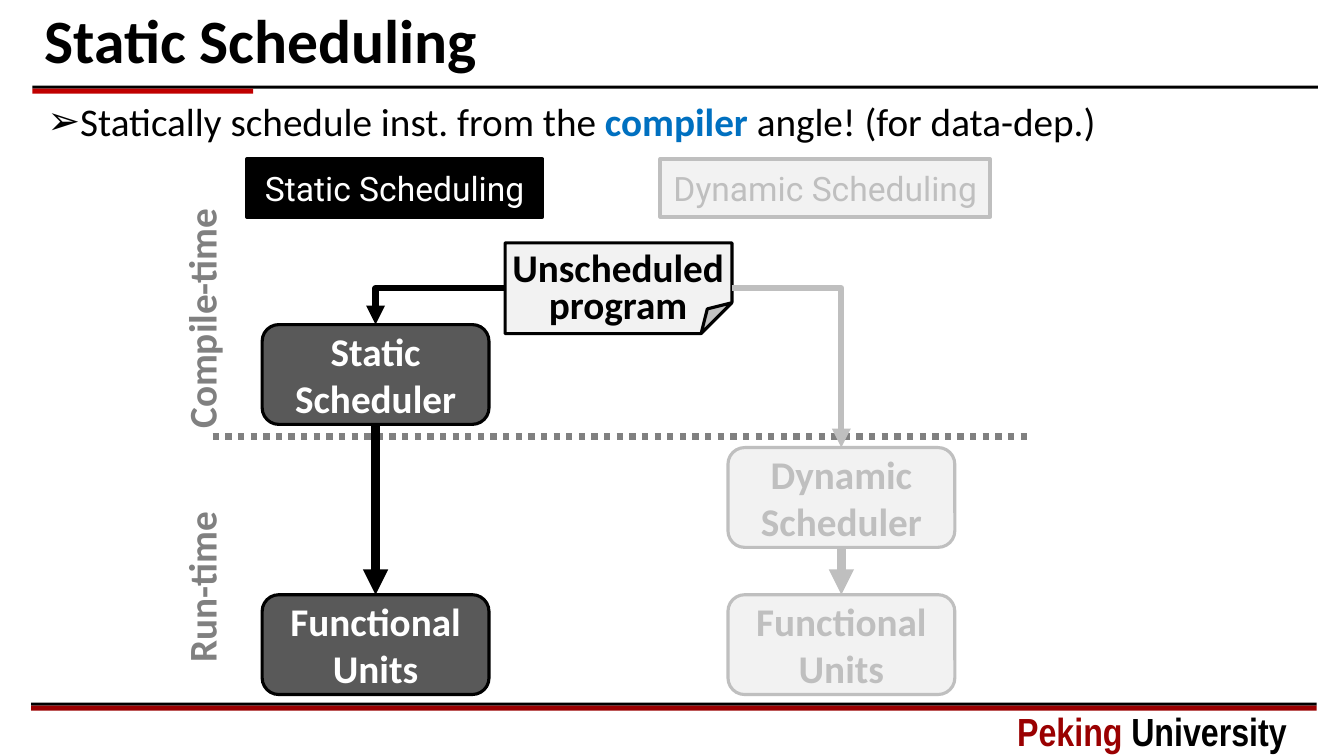
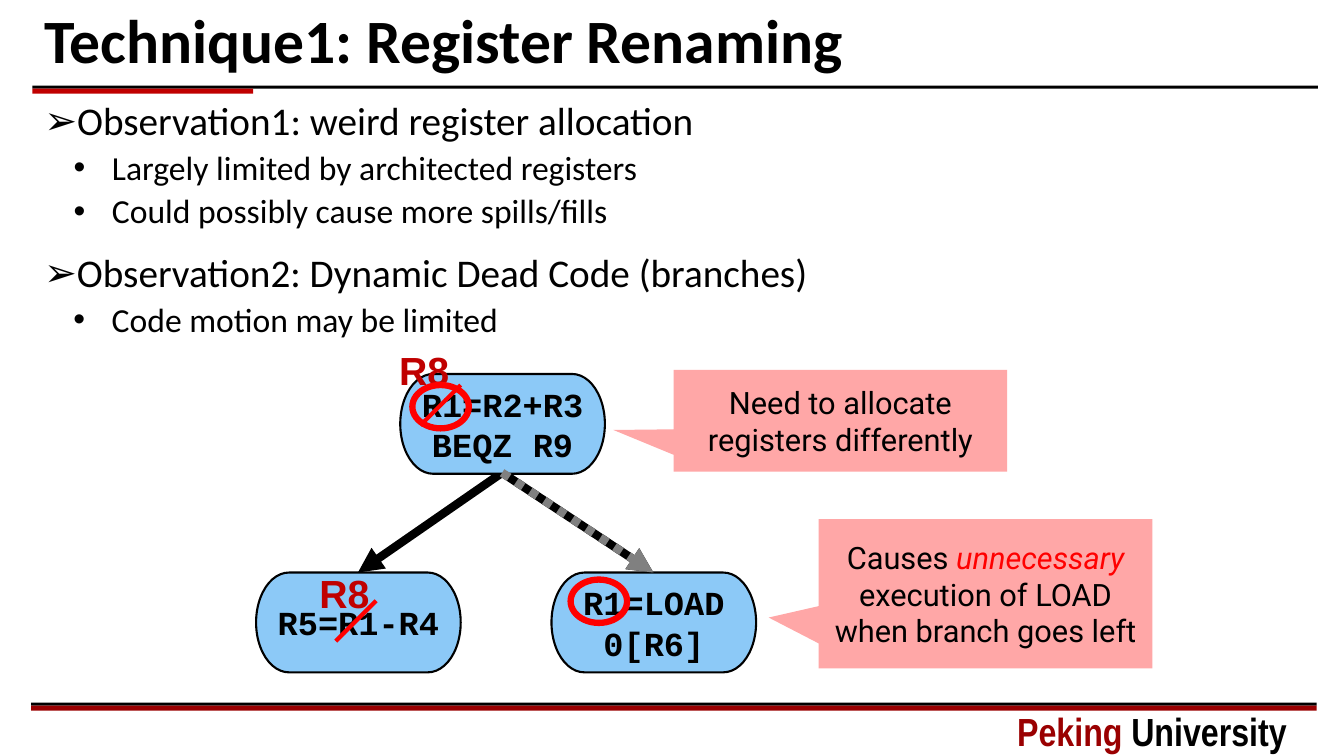
from dataclasses import dataclass, replace
from pptx import Presentation
from pptx.dml.color import RGBColor
from pptx.enum.dml import MSO_LINE
from pptx.enum.shapes import MSO_CONNECTOR, MSO_SHAPE
from pptx.enum.text import MSO_ANCHOR, MSO_AUTO_SIZE, PP_ALIGN
from pptx.oxml.ns import qn
from pptx.util import Inches, Pt
from lxml.etree import SubElement


@dataclass(frozen=True)
class Type:
    font: str
    size: int
    color: str
    bold: bool = False
    italic: bool = False


@dataclass(frozen=True)
class Look:
    fill: str
    line: str
    text: str


@dataclass(frozen=True)
class Theme:
    black: str = "000000"
    grey: str = "808080"
    red: str = "C00000"
    wine: str = "9A0001"
    alarm: str = "FF0000"
    blue: str = "0070C0"
    sky: str = "8CC9F7"
    pink: str = "FFA7A7"
    title: Type = Type("Calibri", 44, "000000", True)
    item: Type = Type("Calibri", 28, "000000")
    point: Type = Type("Calibri", 24, "000000")
    node: Type = Type("Calibri", 28, "000000", True)
    head: Type = Type("Roboto", 24, "FFFFFF")
    note: Type = Type("Roboto", 22, "000000")
    code: Type = Type("Courier New", 24, "000000", True)
    mark: Type = Type("Arial", 28, "C00000", True)
    brand: Type = Type("Arial Narrow", 28, "000000", True)
    on: Look = Look("595959", "000000", "FFFFFF")
    off: Look = Look("F2F2F2", "BFBFBF", "BFBFBF")
    solid: Look = Look("000000", "000000", "FFFFFF")


T = Theme()


def rgb(code):
    return RGBColor.from_string(code)


def inch(*nums):
    return [Inches(n) for n in nums]


def add_run(para, text, kind):
    run = para.add_run()
    run.text = text
    font = run.font
    font.name, font.size = kind.font, Pt(kind.size)
    font.bold, font.italic = kind.bold, kind.italic
    font.color.rgb = rgb(kind.color)


def write(frame, paras, align=PP_ALIGN.LEFT, space=1.0):
    """Each paragraph is a list of (text, type) runs."""
    for i, runs in enumerate(paras):
        para = frame.add_paragraph() if i else frame.paragraphs[0]
        para.alignment, para.line_spacing = align, space
        para.space_before = Pt(0)
        for text, kind in runs:
            add_run(para, text, kind)


def add_list(frame, items, hang, space=0.9):
    """Each item is (level, runs); hang is the indent of level 0."""
    frame.word_wrap = True
    frame.auto_size = MSO_AUTO_SIZE.NONE
    frame.vertical_anchor = MSO_ANCHOR.TOP
    write(frame, [runs for _, runs in items], space=space)
    for i, (para, (level, _)) in enumerate(zip(frame.paragraphs, items)):
        para.level = level
        sign, left, back = (("➢", hang, hang), ("•", 0.67, 0.38))[level]
        props = para._p.get_or_add_pPr()
        props.set("marL", str(Inches(left)))
        props.set("indent", str(-Inches(back)))
        SubElement(props, qn("a:buFont")).set("typeface", "Arial")
        SubElement(props, qn("a:buChar")).set("char", sign)
        if i:
            para.space_before = Pt(5 if level else 10)


def adjust(shape, values):
    """Write the guides directly, as some presets list none by default."""
    guides = shape._element.spPr.find(qn("a:prstGeom")).get_or_add_avLst()
    for old in list(guides):
        guides.remove(old)
    for i, value in enumerate(values, 1):
        guide = SubElement(guides, qn("a:gd"))
        guide.set("name", f"adj{i}" if len(values) > 1 else "adj")
        guide.set("fmla", f"val {round(value * 100000)}")


def add_box(slide, kind, box, fill=None, line=None, width=1.0, paras=(), adj=()):
    shape = slide.shapes.add_shape(kind, *inch(*box))
    shape.shadow.inherit = False
    if adj:
        adjust(shape, adj)
    if fill:
        shape.fill.solid()
        shape.fill.fore_color.rgb = rgb(fill)
    else:
        shape.fill.background()
    if line:
        shape.line.color.rgb = rgb(line)
        shape.line.width = Pt(width)
    else:
        shape.line.fill.background()
    if paras:
        shape.text_frame.word_wrap = True
        shape.text_frame.vertical_anchor = MSO_ANCHOR.MIDDLE
        write(shape.text_frame, paras, PP_ALIGN.CENTER)


def add_label(slide, box, paras, align=PP_ALIGN.LEFT, space=1.0, turn=0):
    label = slide.shapes.add_textbox(*inch(*box))
    label.rotation = turn
    label.text_frame.word_wrap = False
    label.text_frame.auto_size = MSO_AUTO_SIZE.SHAPE_TO_FIT_TEXT
    write(label.text_frame, paras, align, space)


def add_line(slide, start, end, color, width, head=False, dots=False, bent=False):
    kind = MSO_CONNECTOR.ELBOW if bent else MSO_CONNECTOR.STRAIGHT
    link = slide.shapes.add_connector(kind, *inch(*start, *end))
    link.line.color.rgb = rgb(color)
    link.line.width = Pt(width)
    if dots:
        link.line.dash_style = MSO_LINE.ROUND_DOT
    props = link._element.spPr
    if bent:
        props.find(qn("a:prstGeom")).set("prst", "bentConnector2")
    if head:
        SubElement(props.find(qn("a:ln")), qn("a:tailEnd")).set("type", "triangle")
    SubElement(props, qn("a:effectLst"))


def add_bands(slide):
    for x, y, w, h, color in (
        (0.32, 0.85, 12.75, 0.03, T.black),
        (0.32, 0.88, 2.19, 0.05, T.red),
        (0.31, 6.97, 12.75, 0.03, T.black),
        (0.31, 7, 12.75, 0.05, T.wine),
    ):
        add_box(slide, MSO_SHAPE.RECTANGLE, (x, y, w, h), color)
    name = [("Peking ", replace(T.brand, color=T.wine)), ("University", T.brand)]
    add_label(slide, (9.99, 6.97, 3.16, 0.57), [name])


def move(shape, box):
    shape.left, shape.top, shape.width, shape.height = inch(*box)


def new_slide(deck, title, box):
    """Add a slide with bands and title; return it and its body, moved to box."""
    slide = deck.slides.add_slide(deck.slide_layouts[1])
    add_bands(slide)
    head, body = slide.shapes.title, slide.placeholders[1]
    move(head, (0.34, 0.02, 12.69, 0.83))
    head.text_frame.word_wrap = True
    head.text_frame.auto_size = MSO_AUTO_SIZE.NONE
    head.text_frame.vertical_anchor = MSO_ANCHOR.MIDDLE
    write(head.text_frame, [[(title, T.title)]], space=0.9)
    move(body, box)
    return slide, body.text_frame


def add_lane(slide, box, source, words, look):
    """Scheduler at the top of box, units at its foot, fed from source."""
    x, y, w, h = box
    tall, mid = 0.99, x + w / 2
    kind = replace(T.node, color=look.text)
    foot = y + h - tall
    for top, lines in ((y, words), (foot, ["Functional Units"])):
        add_box(slide, MSO_SHAPE.ROUNDED_RECTANGLE, (x, top, w, tall), look.fill,
                look.line, 2.25, [[(line, kind)] for line in lines])
    add_line(slide, source, (mid, y), look.line, 4.5, head=True, bent=True)
    add_line(slide, (mid, y + tall), (mid, foot), look.line, 6, head=True)


def add_flow(slide, x, y):
    """Static and dynamic lanes, with the phases named at the left."""
    for dx, w, text, look in ((0.5, 2.93, "Static Scheduling", T.solid),
                              (4.6, 3.27, "Dynamic Scheduling", T.off)):
        add_box(slide, MSO_SHAPE.RECTANGLE, (x + dx, y, w, 0.57), look.fill, look.line,
                3, [[(text, replace(T.head, color=look.text))]])
    phase = replace(T.node, color=T.grey)
    for dx, dy, w, text in ((-1.16, 1.28, 2.41, "Compile-time"),
                            (-0.81, 3.95, 1.71, "Run-time")):
        add_label(slide, (x + dx, y + dy, w, 0.57), [[(text, phase)]], turn=270)
    add_line(slide, (x + 0.16, y + 2.75), (x + 8.24, y + 2.75), T.grey, 4.5, dots=True)
    left, top, wide = x + 3.06, y + 0.83, 2.25
    add_box(slide, MSO_SHAPE.FOLDED_CORNER, (left, top, wide, 0.9), T.off.fill,
            T.black, 2.25, adj=[0.34])
    add_label(slide, (left - 0.04, top + 0.04, 2.32, 0.86),
              [[("Unscheduled", T.node)], [("program", T.node)]], PP_ALIGN.CENTER, 0.8)
    for dx, dy, port, name, look in ((0.65, 1.64, left, "Static", T.on),
                                     (5.27, 2.86, left + wide, "Dynamic", T.off)):
        add_lane(slide, (x + dx, y + dy, wide, 5.31 - dy), (port, top + 0.45),
                 [name, "Scheduler"], look)


def add_block(slide, x, y, lines):
    add_box(slide, MSO_SHAPE.FLOWCHART_TERMINATOR, (x, y, 2.03, 0.99), T.sky, T.black,
            1.5, [[(line, T.code)] for line in lines])


def add_ring(slide, x, y):
    add_box(slide, MSO_SHAPE.OVAL, (x, y, 0.56, 0.43), None, T.alarm, 4.5)


def add_swap(slide, x, y, dx, dy):
    """Strike out a register at x, y and put the new name up and left by dx, dy."""
    add_line(slide, (x + 0.4, y), (x, y + 0.4), T.alarm, 3)
    add_label(slide, (x - dx, y - dy, 0.71, 0.57), [[("R8", T.mark)]])


def add_note(slide, box, tip, runs):
    add_box(slide, MSO_SHAPE.RECTANGULAR_CALLOUT, box, T.pink, paras=[runs], adj=tip)


def add_tree(slide, x, y):
    """A branch with two outcomes and its callouts."""
    low = y + 1.97
    root, left, right = (x + 2.44, y + 0.98), (x + 1.01, low), (x + 3.94, low)
    add_block(slide, x, low, ["R5=R1-R4"])
    add_block(slide, x + 2.93, low, ["R1=LOAD 0[R6]"])
    add_line(slide, root, left, T.black, 6, head=True)
    add_line(slide, root, right, T.black, 6, head=True)
    add_block(slide, x + 1.43, y, ["R1=R2+R3", "BEQZ R9"])
    add_swap(slide, x + 1.63, y + 0.11, 0.31, 0.43)
    add_swap(slide, x + 0.79, y + 2.25, 0.26, 0.36)
    add_line(slide, root, right, T.grey, 6, head=True, dots=True)
    add_ring(slide, x + 1.55, y + 0.11)
    add_ring(slide, x + 3.12, y + 2.04)
    add_note(slide, (x + 4.14, y - 0.04, 3.31, 1.01), (-0.68, 0.09),
             [("Need to allocate registers differently", T.note)])
    add_note(slide, (x + 5.58, y + 1.44, 3.31, 1.48), (-0.65, 0.16),
             [("Causes ", T.note),
              ("unnecessary", replace(T.note, color=T.alarm, italic=True)),
              (" execution of LOAD when branch goes left", T.note)])


def static_slide(deck):
    slide, body = new_slide(deck, "Static Scheduling", (0.47, 0.97, 10.84, 0.47))
    body.margin_left = body.margin_right = body.margin_top = body.margin_bottom = 0
    key = replace(T.item, color=T.blue, bold=True)
    add_list(body, [(0, [("Statically schedule inst. from the ", T.item),
                         ("compiler ", key), ("angle! (for data-dep.)", T.item)])],
             0.29, 1.0)
    add_flow(slide, 1.95, 1.58)


def rename_slide(deck):
    slide, body = new_slide(deck, "Technique1: Register Renaming",
                            (0.34, 0.96, 12.69, 1.5))
    add_list(body, [(0, [("Observation1: weird register allocation", T.item)]),
                    (1, [("Largely limited by architected registers", T.point)]),
                    (1, [("Could possibly cause more spills/fills", T.point)])], 0.25)
    more = slide.shapes.add_textbox(*inch(0.34, 2.47, 9.53, 0.99))
    add_list(more.text_frame,
             [(0, [("Observation2: Dynamic Dead Code (branches)", T.item)]),
              (1, [("Code motion may be limited", T.point)])], 0.2)
    add_tree(slide, 2.54, 3.71)


def main():
    deck = Presentation()
    deck.slide_width, deck.slide_height = inch(13.33, 7.5)
    static_slide(deck)
    rename_slide(deck)
    deck.save("out.pptx")


if __name__ == "__main__":
    main()
